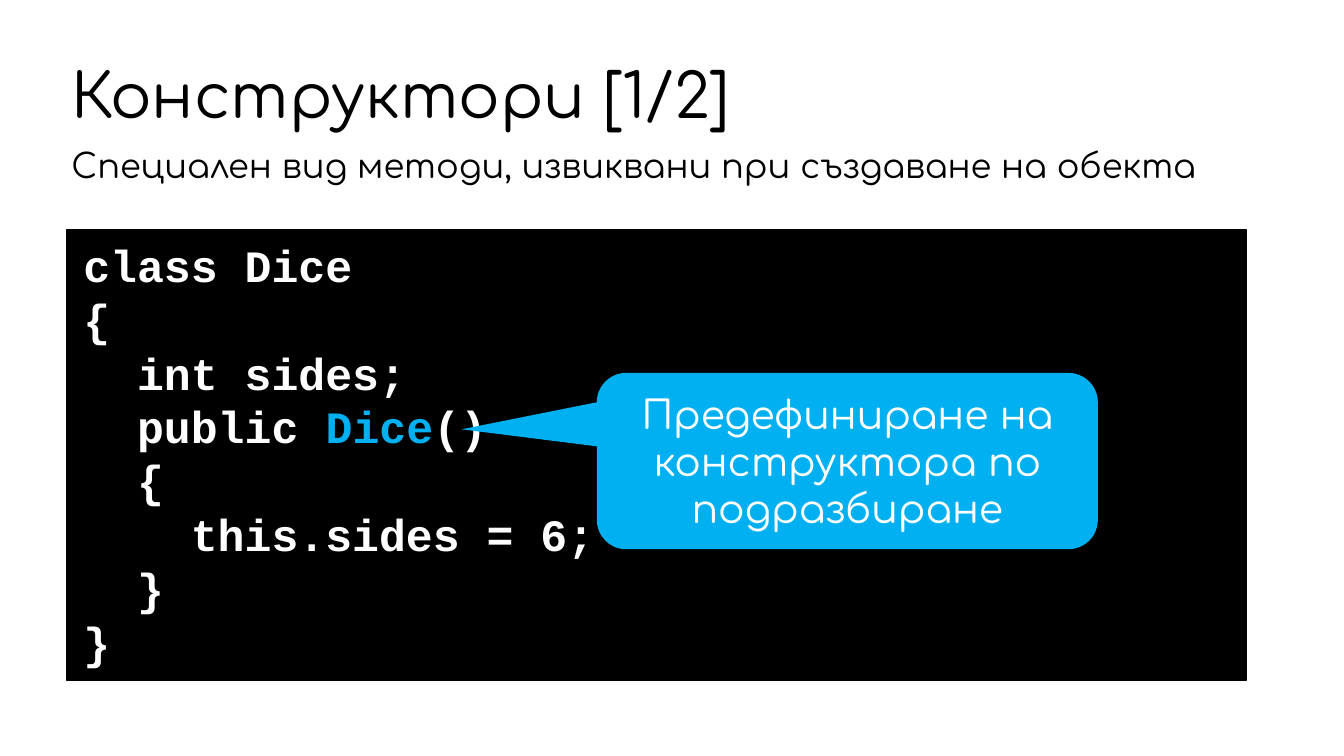
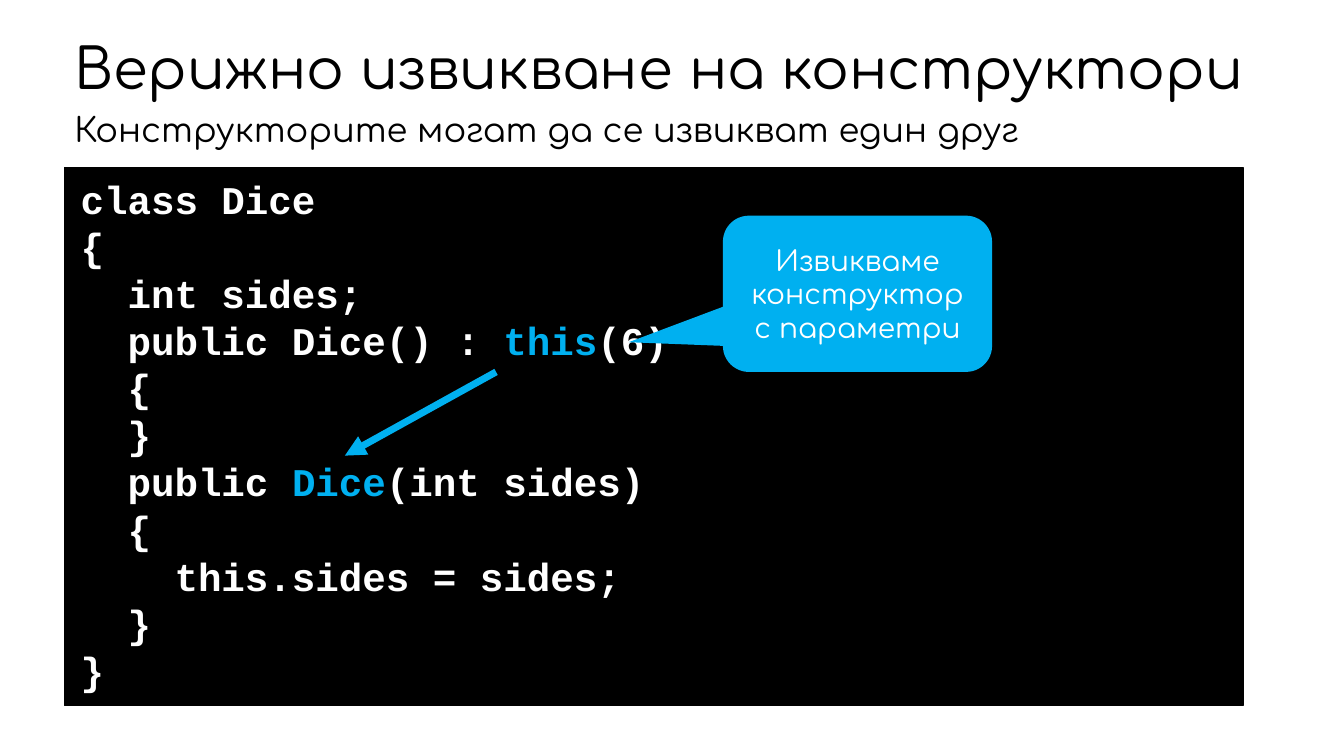
import pptx
import pptx.dml.color
import pptx.enum.shapes
import pptx.enum.text
import pptx.oxml
import pptx.oxml.ns
import pptx.util

COLORS = {"paper": "FFFFFF", "ink": "000000", "accent": "00B0F0"}
TEXT_FONT = "Comfortaa"
CODE_FONT = "Courier New"
SLIDE_WIDTH = pptx.util.Inches(13.33)
SLIDE_HEIGHT = pptx.util.Inches(7.5)
GRID = 100  # columns and rows per slide
CODE_WIDTH = 87.7

SHAPES = pptx.enum.shapes.MSO_SHAPE
ANCHOR = pptx.enum.text.MSO_ANCHOR
ALIGN = pptx.enum.text.PP_ALIGN

DEFAULT_CONSTRUCTOR = """class Dice
{
  int sides;
  public |Dice|()
  {
    this.sides = 6;
  }
}"""

CHAINED_CONSTRUCTORS = """class Dice
{
  int sides;
  public Dice() : |this|(6)
  {
  }
  public |Dice|(int sides)
  {
    this.sides = sides;
  }
}"""


def color(name):
    return pptx.dml.color.RGBColor.from_string(COLORS[name])


def columns(count):
    return round(SLIDE_WIDTH * count / GRID)


def rows(count):
    return round(SLIDE_HEIGHT * count / GRID)


def place(left, top, width, height):
    return columns(left), rows(top), columns(width), rows(height)


def write(box, text, *, size, ink="ink", font=TEXT_FONT, bold=False,
          align=ALIGN.LEFT, anchor=ANCHOR.TOP, spacing=1.0):
    """Write one paragraph per line; text between bars takes the accent colour."""
    frame = box.text_frame
    frame.word_wrap = True
    frame.vertical_anchor = anchor
    for index, line in enumerate(text.split("\n")):
        para = frame.paragraphs[0] if index == 0 else frame.add_paragraph()
        para.alignment = align
        para.line_spacing = spacing
        for position, piece in enumerate(line.split("|")):
            span = para.add_run()
            span.text = piece
            span.font.name = font
            span.font.size = pptx.util.Pt(size)
            span.font.bold = bold
            span.font.color.rgb = color("accent" if position % 2 else ink)


def add_text(page, area, text, **style):
    box = page.shapes.add_textbox(*place(*area))
    write(box, text, spacing=0.9, **style)


def add_heading(page, title, title_area, title_size, subtitle, subtitle_area):
    add_text(page, subtitle_area, subtitle, size=24)
    add_text(page, title_area, title, size=title_size, anchor=ANCHOR.MIDDLE)


def add_filled_shape(page, kind, area, fill):
    shape = page.shapes.add_shape(kind, *place(*area))
    shape.shadow.inherit = False
    shape.fill.solid()
    shape.fill.fore_color.rgb = color(fill)
    shape.line.fill.background()
    return shape


def add_code(page, area, code, size):
    panel = add_filled_shape(page, SHAPES.RECTANGLE, area, "ink")
    panel.line.color.rgb = color("ink")
    panel.line.width = pptx.util.Pt(1)
    frame = panel.text_frame
    frame.margin_left = frame.margin_right = columns(1.2)
    frame.margin_top = frame.margin_bottom = rows(1.07)
    frame.auto_size = pptx.enum.text.MSO_AUTO_SIZE.SHAPE_TO_FIT_TEXT
    write(panel, code, size=size, ink="paper", font=CODE_FONT, bold=True)


def add_callout(page, area, text, size, pointer):
    """Add a bubble whose pointer is an offset from its centre in its own sizes."""
    bubble = add_filled_shape(page, SHAPES.ROUNDED_RECTANGULAR_CALLOUT, area, "accent")
    for index, value in enumerate((*pointer, 1 / 6)):
        bubble.adjustments[index] = value
    write(bubble, text, size=size, ink="paper", align=ALIGN.CENTER,
          anchor=ANCHOR.MIDDLE)


def add_arrow(page, start, end):
    arrow = page.shapes.add_connector(
        pptx.enum.shapes.MSO_CONNECTOR.STRAIGHT,
        columns(start[0]), rows(start[1]), columns(end[0]), rows(end[1]))
    arrow.line.color.rgb = color("accent")
    arrow.line.width = pptx.util.Pt(5)
    namespace = pptx.oxml.ns.nsdecls("a")
    arrow.line._get_or_add_ln().append(
        pptx.oxml.parse_xml(f'<a:tailEnd {namespace} type="triangle"/>'))
    arrow._element.spPr.append(pptx.oxml.parse_xml(f"<a:effectLst {namespace}/>"))


def add_page(deck):
    page = deck.slides.add_slide(deck.slide_layouts[6])
    page.background.fill.solid()
    page.background.fill.fore_color.rgb = color("paper")
    return page


def build_default_constructor(deck):
    page = add_page(deck)
    add_heading(page, "Конструктори [1/2]", (4.58, 4.4, 87.32, 17.33), 44,
                "Специален вид методи, извиквани при създаване на обекта",
                (4.58, 19.07, CODE_WIDTH, 8.53))
    add_code(page, (5, 30.4, CODE_WIDTH, 59.6), DEFAULT_CONSTRUCTOR, 32)
    add_callout(page, (44.41, 49.33, 37.28, 23.33),
                "Предефиниране на конструктора по подразбиране", 28, (-0.77, -0.18))


def build_chained_constructors(deck):
    page = add_page(deck)
    left = 4.8
    add_heading(page, "Верижно извикване на конструктори", (left, 3.47, 91.6, 12), 40,
                "Конструкторите могат да се извикват един друг",
                (left, 14.4, 80.72, 7.6))
    add_code(page, (left, 22.13, CODE_WIDTH, 71.2), CHAINED_CONSTRUCTORS, 28)
    add_callout(page, (53.79, 28.53, 20.03, 20.67),
                "Извикваме конструктор с параметри", 20, (-0.85, 0.31))
    add_arrow(page, (36.91, 49.2), (25.66, 60.27))


def main():
    deck = pptx.Presentation()
    deck.slide_width = SLIDE_WIDTH
    deck.slide_height = SLIDE_HEIGHT
    build_default_constructor(deck)
    build_chained_constructors(deck)
    deck.save("out.pptx")


if __name__ == "__main__":
    main()
